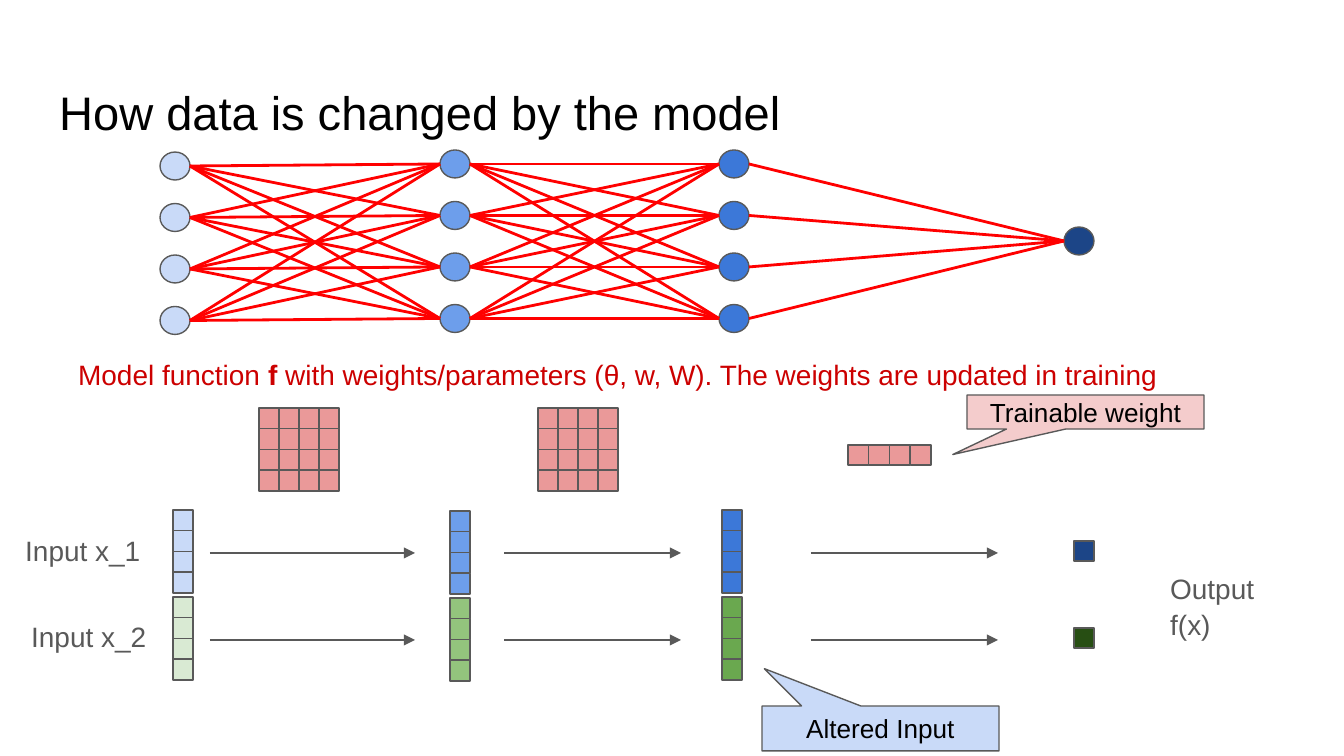
from itertools import product

from lxml.etree import SubElement
from pptx import Presentation
from pptx.dml.color import RGBColor
from pptx.enum.shapes import MSO_CONNECTOR, MSO_SHAPE
from pptx.enum.text import MSO_ANCHOR, PP_ALIGN
from pptx.oxml.ns import qn
from pptx.util import Emu, Pt

PX = 914400 / 134.4

BLACK = RGBColor(0x00, 0x00, 0x00)
GREY = RGBColor(0x59, 0x59, 0x59)
RED = RGBColor(0xFF, 0x00, 0x00)
DARK_RED = RGBColor(0xCC, 0x00, 0x00)
WEIGHT = RGBColor(0xEA, 0x99, 0x99)
PINK = RGBColor(0xF4, 0xCC, 0xCC)
BLUES = [RGBColor(0xC9, 0xDA, 0xF8), RGBColor(0x6D, 0x9E, 0xEB),
         RGBColor(0x3C, 0x78, 0xD8), RGBColor(0x1C, 0x45, 0x87)]
GREENS = [RGBColor(0xD9, 0xEA, 0xD3), RGBColor(0x93, 0xC4, 0x7D),
          RGBColor(0x6A, 0xA8, 0x4F), RGBColor(0x27, 0x4E, 0x13)]

prs = Presentation()
prs.slide_width = Emu(round(1344 * PX))
prs.slide_height = Emu(round(756 * PX))
s = prs.slides.add_slide(prs.slide_layouts[6])


def add_shape(kind, x, y, w, h, fill):
    sp = s.shapes.add_shape(kind, *(Emu(round(v * PX)) for v in (x, y, w, h)))
    sp.shadow.inherit = False
    sp.fill.solid()
    sp.fill.fore_color.rgb = fill
    sp.line.color.rgb = GREY
    sp.line.width = Pt(0.75)
    return sp


def add_line(x1, y1, x2, y2, color, width):
    ln = s.shapes.add_connector(
        MSO_CONNECTOR.STRAIGHT, *(Emu(round(v * PX)) for v in (x1, y1, x2, y2)))
    ln.line.color.rgb = color
    ln.line.width = Pt(width)
    SubElement(ln._element.spPr, qn("a:effectLst"))
    return ln


# Text: title, caption and labels
texts = [
    (46, 66, 766, 85, 25.2, BLACK, [["How data is changed by the model"]]),
    (65, 341, 1266, 66, 15, DARK_RED,
     [["Model function ", "f",
       " with weights/parameters (θ, w, W). The weights are updated in training"]]),
    (12, 517, 149, 66, 15, GREY, [["Input x_1"]]),
    (18, 603, 156, 66, 15, GREY, [["Input x_2"]]),
    (1157, 555, 114, 66, 15, GREY, [["Output"], ["f(x)"]]),
]
for x, y, w, h, size, color, paragraphs in texts:
    tb = s.shapes.add_textbox(*(Emu(round(v * PX)) for v in (x, y, w, h)))
    tf = tb.text_frame
    tf.word_wrap = True
    tf.margin_top = tf.margin_bottom = Pt(7.2)
    for i, runs in enumerate(paragraphs):
        p = tf.add_paragraph() if i else tf.paragraphs[0]
        p.line_spacing = 1.08
        p.font.name = "Arial"
        p.font.size = Pt(size)
        p.font.color.rgb = color
        for text in runs:
            r = p.add_run()
            r.text = text
            if text == "f":
                r.font.bold = True

# Network: nodes, then every node linked to every node of the next layer
NODE_W, NODE_H, NODE_STEP = 30, 28, 51.5
layers = [(160, 152, 4), (440, 150, 4), (719, 150, 4), (1064, 227, 1)]
nodes = [[(x, y + i * NODE_STEP) for i in range(n)] for x, y, n in layers]
for layer, color in zip(nodes, BLUES):
    for x, y in layer:
        add_shape(MSO_SHAPE.OVAL, x, y, NODE_W, NODE_H, color)
for left, right in zip(nodes, nodes[1:]):
    for (x1, y1), (x2, y2) in product(left, right):
        add_line(x1 + NODE_W, y1 + NODE_H / 2, x2, y2 + NODE_H / 2, RED, 1.5)

# Cell grids: weights, then the vectors and output of each input
CELL, SIDE = 20, 83
grids = [(259, 408, 4, 4, 80, SIDE, WEIGHT),
         (538, 408, 4, 4, 80, SIDE, WEIGHT),
         (848, 445, 4, 1, SIDE, CELL, WEIGHT)]
for dy, colors in ((0, BLUES), (87, GREENS)):
    for (x, y), color in zip([(173, 510), (450, 511), (722, 510)], colors):
        grids.append((x, y + dy, 1, 4, CELL, SIDE, color))
    grids.append((1074, 541 + dy, 1, 1, CELL, CELL, colors[3]))
for x, y, cols, rows, w, h, color in grids:
    for c, r in product(range(cols), range(rows)):
        add_shape(MSO_SHAPE.RECTANGLE, x + c * w / cols, y + r * h / rows,
                  w / cols, h / rows, color)

# Flow arrows
for y, (x1, x2) in product((553, 640), ((210, 415), (504, 681), (811, 998))):
    arrow = add_line(x1, y, x2, y, GREY, 0.75)
    SubElement(arrow.line._get_or_add_ln(), qn("a:tailEnd"), type="triangle")

# Callouts
callouts = [(967, 395, 237, 34, PINK, "Trainable weight", (-0.56, 1.25)),
            (762, 706, 237, 45, BLUES[0], "Altered Input", (-0.49, -1.33))]
for x, y, w, h, fill, text, tip in callouts:
    sp = add_shape(MSO_SHAPE.RECTANGULAR_CALLOUT, x, y, w, h, fill)
    sp.adjustments[0], sp.adjustments[1] = tip
    tf = sp.text_frame
    tf.word_wrap = True
    tf.vertical_anchor = MSO_ANCHOR.MIDDLE
    tf.margin_top = tf.margin_bottom = Pt(7.2)
    p = tf.paragraphs[0]
    p.text = text
    p.alignment = PP_ALIGN.CENTER
    p.font.name = "Arial"
    p.font.size = Pt(14)
    p.font.color.rgb = BLACK

prs.save("out.pptx")
